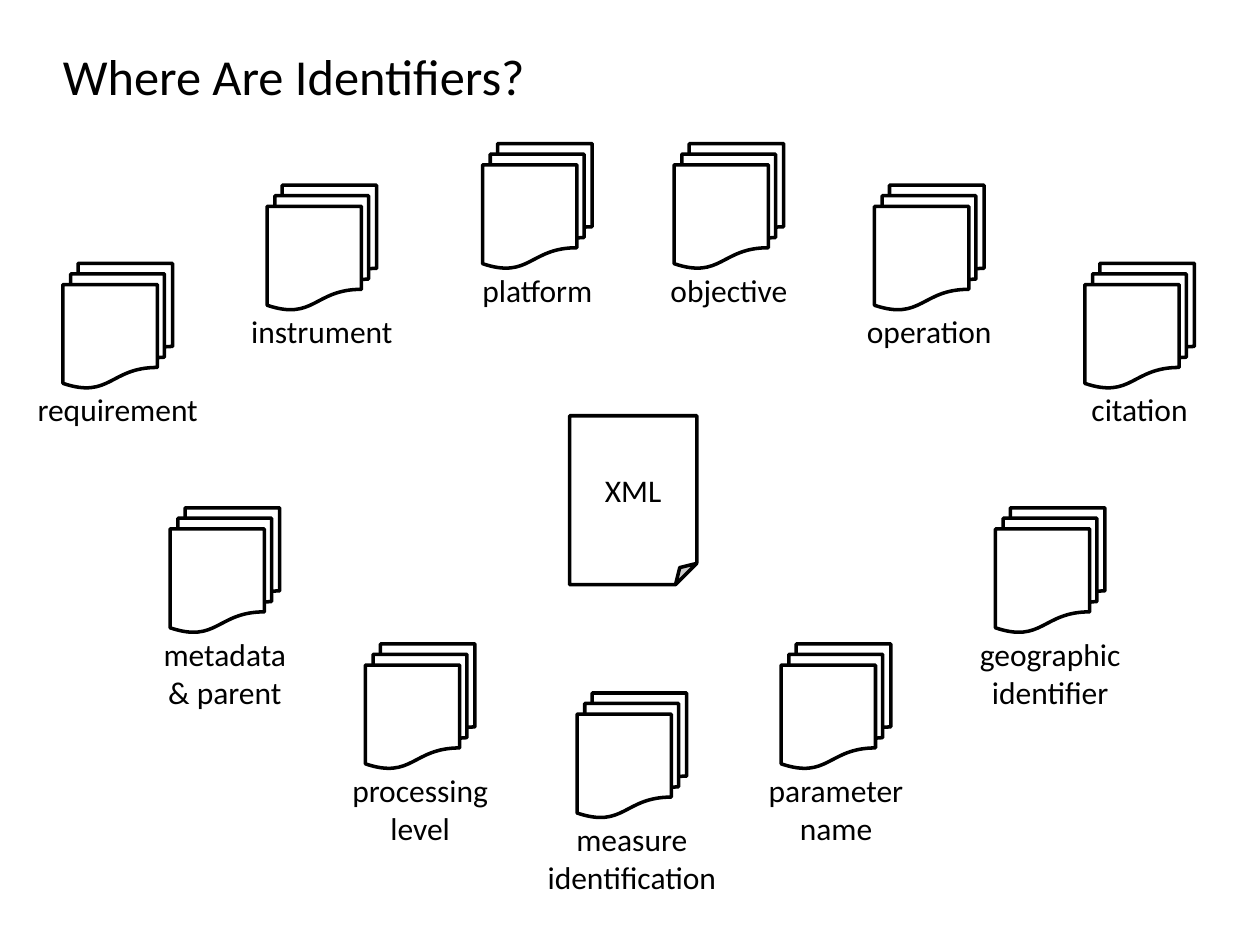
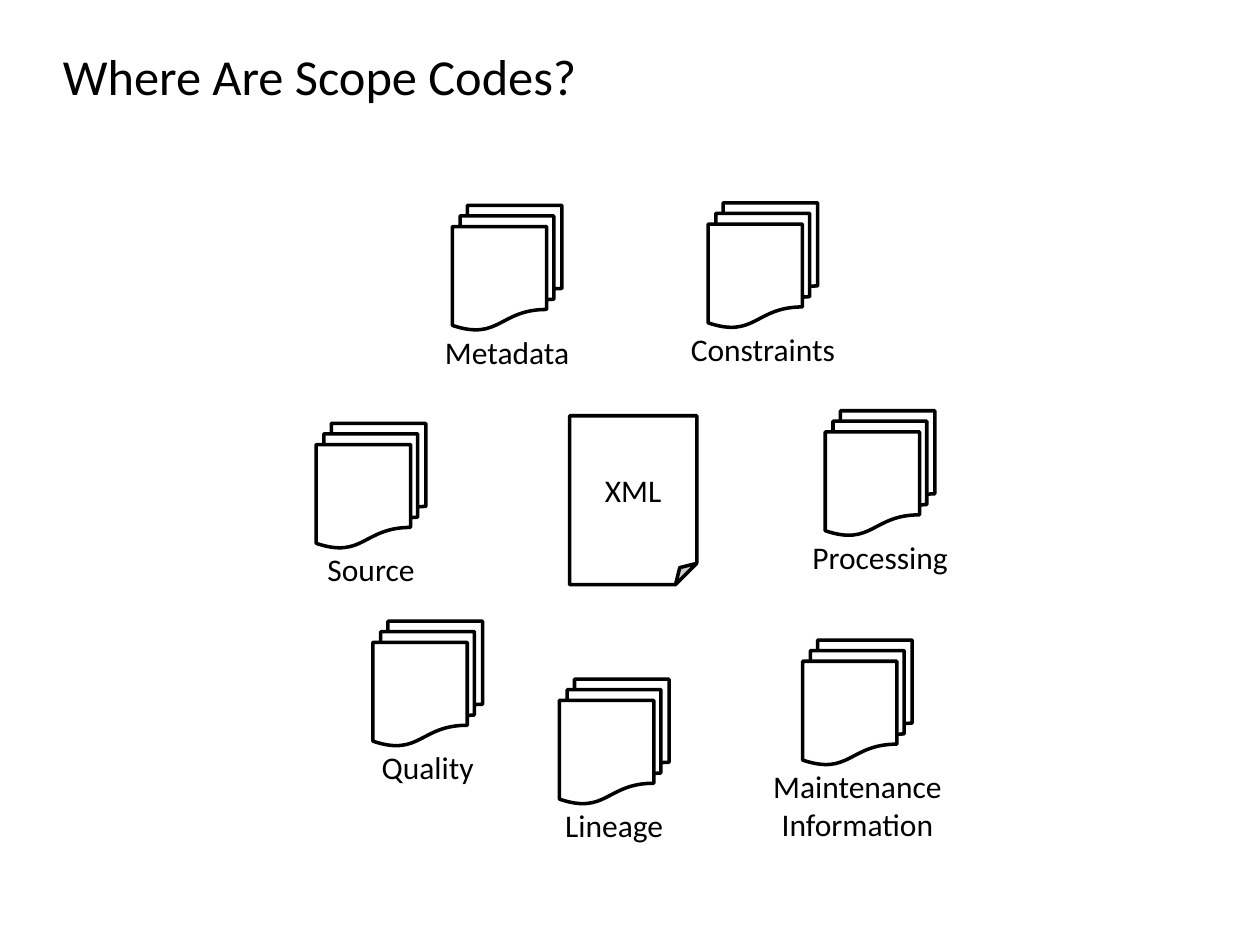
from dataclasses import dataclass

from pptx import Presentation
from pptx.dml.color import RGBColor
from pptx.enum.shapes import MSO_SHAPE
from pptx.enum.text import MSO_ANCHOR, PP_ALIGN
from pptx.util import Inches, Pt

# Each record stack: label lines, left and top of the stack in inches
SLIDES = [
    ("Where Are Identifiers?", [
        (["platform"], 3.83, 1.14),
        (["metadata", "& parent"], 1.35, 4.03),
        (["objective"], 5.35, 1.14),
        (["measure", "identification"], 4.58, 5.5),
        (["requirement"], 0.5, 2.09),
        (["instrument"], 2.12, 1.47),
        (["operation"], 6.94, 1.47),
        (["processing", "level"], 2.9, 5.11),
        (["parameter", "name"], 6.2, 5.11),
        (["geographic", "identifier"], 7.9, 4.03),
        (["citation"], 8.61, 2.09),
    ]),
    ("Where Are Scope Codes?", [
        (["Quality"], 2.96, 4.93),
        (["Maintenance", "Information"], 6.37, 5.08),
        (["Lineage"], 4.44, 5.39),
        (["Metadata"], 3.59, 1.63),
        (["Constraints"], 5.62, 1.61),
        (["Processing"], 6.55, 3.26),
        (["Source"], 2.51, 3.36),
    ]),
]
CENTRE = "XML"


@dataclass(frozen=True)
class Theme:
    ink: RGBColor = RGBColor(0, 0, 0)
    paper: RGBColor = RGBColor(255, 255, 255)
    font: str = "Calibri"
    title_size: float = 28.8
    label_size: float = 18
    outline: float = 2


THEME = Theme()
TITLE_BOX = (0.4, 0.29, 9, 0.61)
CENTRE_BOX = (4.52, 3.3, 1.01, 1.34)
STACK_WIDTH, STACK_HEIGHT = 0.87, 0.99
LABEL_WIDTH, LABEL_OFFSET = 1.6, 0.96
LABEL_PADDING, LABEL_LINE = 0.1, 0.3


def inches(box):
    return [Inches(value) for value in box]


def write(shape, lines, size, align, anchor):
    frame = shape.text_frame
    frame.vertical_anchor = anchor
    for number, line in enumerate(lines):
        paragraph = frame.add_paragraph() if number else frame.paragraphs[0]
        paragraph.alignment = align
        run = paragraph.add_run()
        run.text = line
        run.font.name = THEME.font
        run.font.size = Pt(size)
        run.font.color.rgb = THEME.ink


def add_outlined(shapes, preset, box):
    outlined = shapes.add_shape(preset, *inches(box))
    outlined.shadow.inherit = False
    outlined.fill.solid()
    outlined.fill.fore_color.rgb = THEME.paper
    outlined.line.color.rgb = THEME.ink
    outlined.line.width = Pt(THEME.outline)
    return outlined


def add_record_stack(slide, lines, left, top):
    """Group a stack of documents with the label centred below it."""
    group = slide.shapes.add_group_shape()
    add_outlined(group.shapes, MSO_SHAPE.FLOWCHART_MULTIDOCUMENT,
                 (left, top, STACK_WIDTH, STACK_HEIGHT))
    label = group.shapes.add_textbox(*inches((
        left + (STACK_WIDTH - LABEL_WIDTH) / 2, top + LABEL_OFFSET,
        LABEL_WIDTH, LABEL_PADDING + LABEL_LINE * len(lines))))
    label.text_frame.word_wrap = False
    write(label, lines, THEME.label_size, PP_ALIGN.CENTER, MSO_ANCHOR.TOP)


def add_ring_slide(deck, heading, stacks):
    """Place the record stacks around the central document."""
    slide = deck.slides.add_slide(deck.slide_layouts[6])
    slide.background.fill.solid()
    slide.background.fill.fore_color.rgb = THEME.paper
    title = slide.shapes.add_textbox(*inches(TITLE_BOX))
    title.text_frame.word_wrap = True
    write(title, [heading], THEME.title_size, PP_ALIGN.LEFT, MSO_ANCHOR.MIDDLE)
    centre = add_outlined(slide.shapes, MSO_SHAPE.FOLDED_CORNER, CENTRE_BOX)
    write(centre, [CENTRE], THEME.label_size, PP_ALIGN.CENTER, MSO_ANCHOR.MIDDLE)
    for lines, left, top in stacks:
        add_record_stack(slide, lines, left, top)


def main():
    deck = Presentation()
    deck.slide_width, deck.slide_height = Inches(10), Inches(7.5)
    for heading, stacks in SLIDES:
        add_ring_slide(deck, heading, stacks)
    deck.save("out.pptx")


if __name__ == "__main__":
    main()
